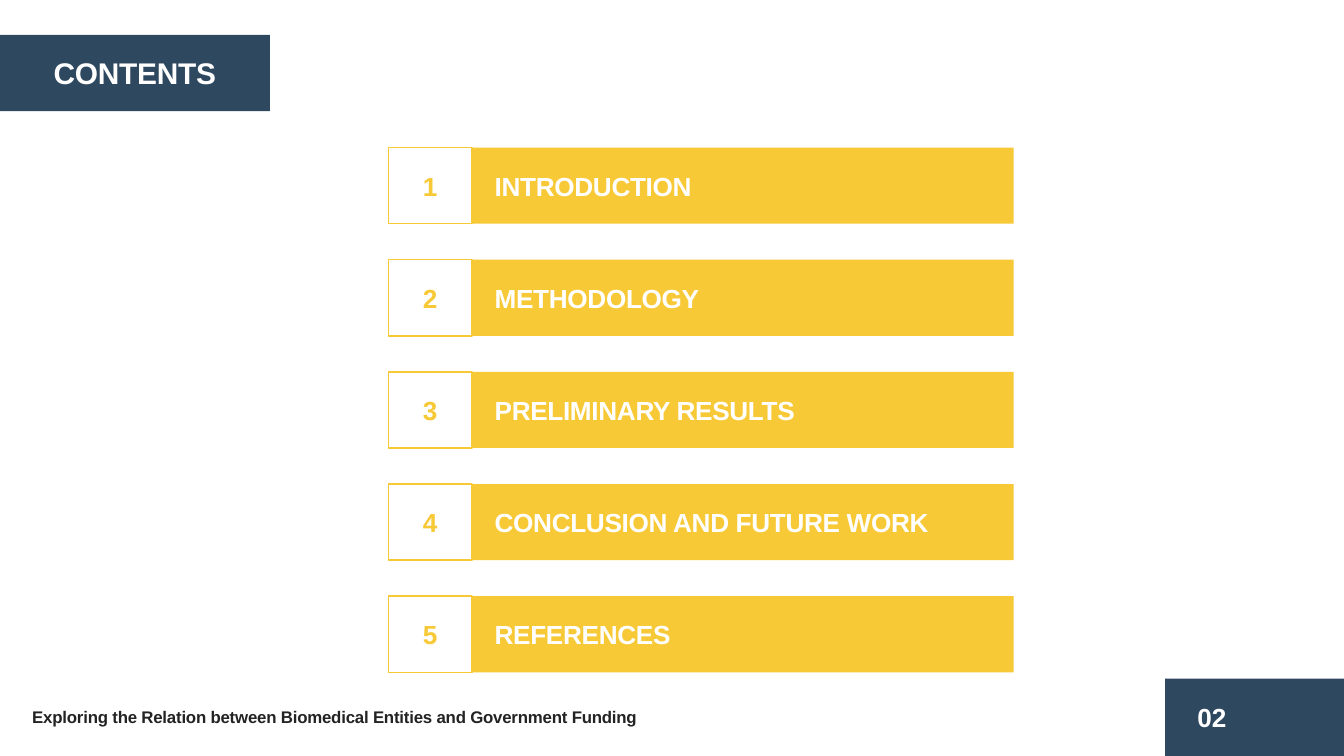
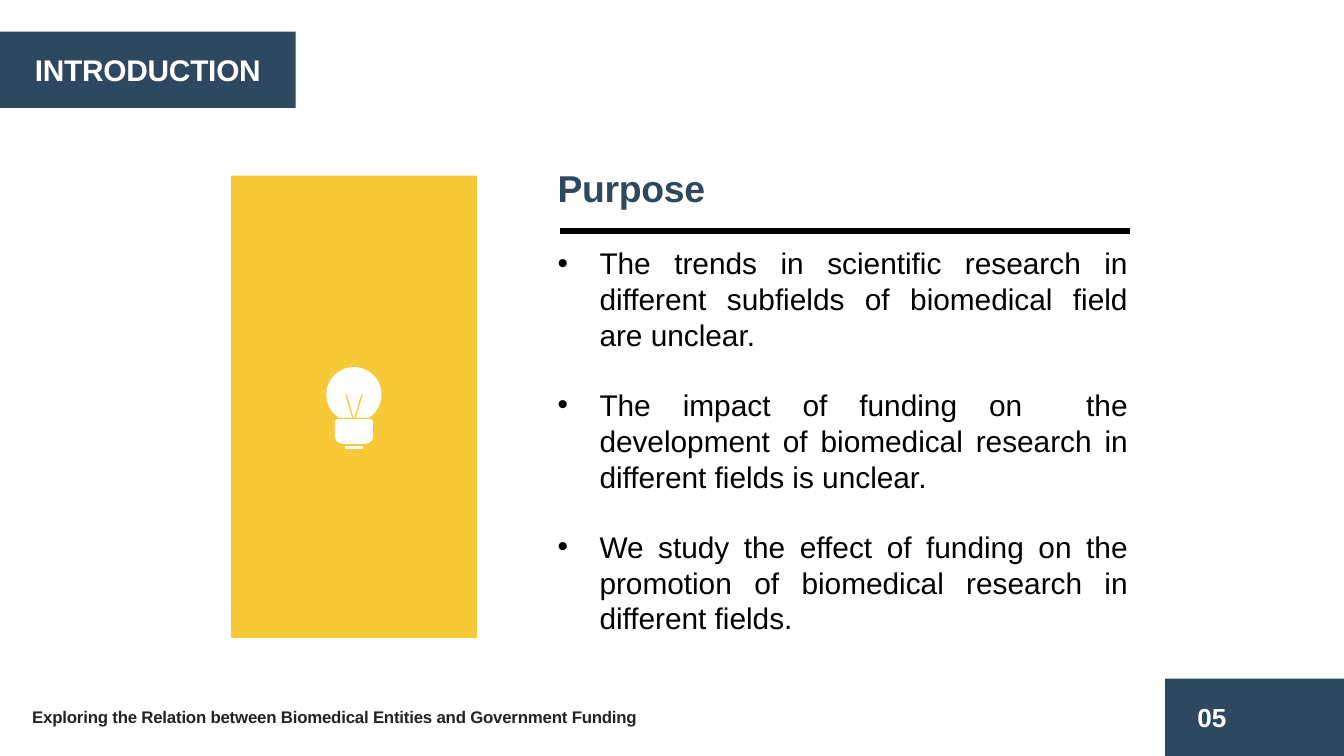
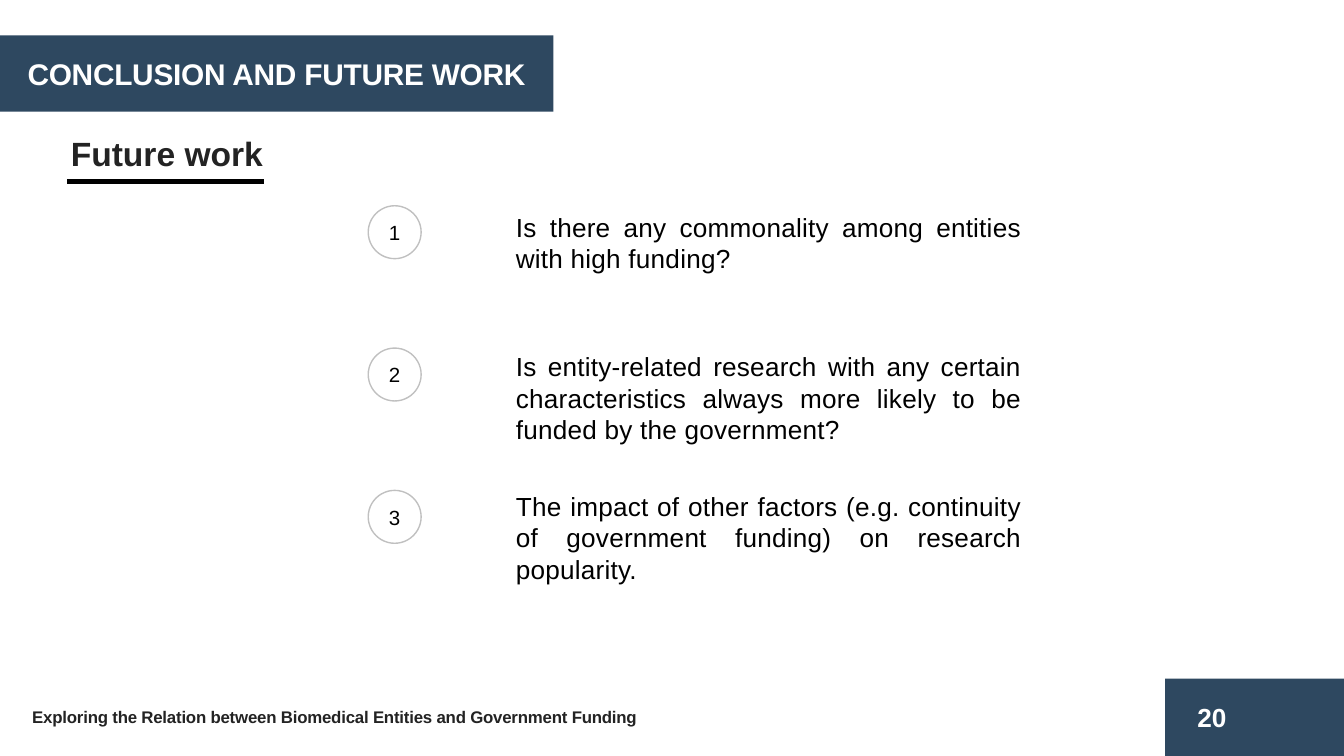
"""Build three slides on biomedical entities and government funding."""
import math

from lxml import etree
from pptx import Presentation
from pptx.dml.color import RGBColor
from pptx.enum.shapes import MSO_CONNECTOR, MSO_SHAPE
from pptx.enum.text import MSO_ANCHOR, MSO_AUTO_SIZE, PP_ALIGN
from pptx.oxml.ns import qn
from pptx.util import Cm, Pt

RECTANGLE = MSO_SHAPE.RECTANGLE
OVAL = MSO_SHAPE.OVAL
ROUNDED_BASE = MSO_SHAPE.ROUND_2_SAME_RECTANGLE
STRAIGHT = MSO_CONNECTOR.STRAIGHT
TOP, MIDDLE = MSO_ANCHOR.TOP, MSO_ANCHOR.MIDDLE
LEFT, CENTER, JUSTIFY = PP_ALIGN.LEFT, PP_ALIGN.CENTER, PP_ALIGN.JUSTIFY
NO_AUTOFIT = MSO_AUTO_SIZE.NONE

FONT = "Arial"
COLORS = {
    "navy": "2E4860",
    "yellow": "F8C937",
    "white": "FFFFFF",
    "ink": "232323",
    "black": "000000",
    "silver": "C0C0C0",
}
SLIDE_WIDTH, SLIDE_HEIGHT = 25.4, 14.29
TITLE_ONLY, TITLE_AND_BODY = 5, 1

FOOTER = "Exploring the Relation between Biomedical Entities and Government Funding"
CONTENTS = [
    "INTRODUCTION",
    "METHODOLOGY",
    "PRELIMINARY RESULTS",
    "CONCLUSION AND FUTURE WORK",
    "REFERENCES",
]
PURPOSES = [
    "The trends in scientific research in different subfields of biomedical field are unclear.",
    "The impact of funding on  the development of biomedical research in different fields is unclear.",
    "We study the effect of funding on the promotion of biomedical research in different fields.",
]
QUESTIONS = [
    "Is there any commonality among entities with high funding?",
    "Is entity-related research with any certain characteristics always more likely "
    "to be funded by the government?",
    "The impact of other factors (e.g. continuity of government funding) on research popularity.",
]


def rgb(name):
    return RGBColor.from_string(COLORS[name])


def lengths(*values):
    return [Cm(value) for value in values]


def write(shape, text, size=14, color="black", bold=False, spacing=0,
          align=LEFT, anchor=TOP, insets=(0.25, 0.13)):
    frame = shape.text_frame
    frame.word_wrap = True
    frame.auto_size = NO_AUTOFIT
    frame.vertical_anchor = anchor
    frame.margin_left = frame.margin_right = Cm(insets[0])
    frame.margin_top = frame.margin_bottom = Cm(insets[1])
    frame.text = text
    for paragraph in frame.paragraphs:
        paragraph.alignment = align
        for run in paragraph.runs:
            run.font.name = FONT
            run.font.size = Pt(size)
            run.font.bold = bold
            run.font.color.rgb = rgb(color)
            if spacing:
                run.font._element.set("spc", str(round(spacing * 100)))


def place(shape, *box):
    shape.left, shape.top, shape.width, shape.height = lengths(*box)


def paint(shape, fill=None, line=None):
    shape.shadow.inherit = False
    if fill:
        shape.fill.solid()
        shape.fill.fore_color.rgb = rgb(fill)
    else:
        shape.fill.background()
    if line:
        shape.line.color.rgb = rgb(line)
        shape.line.width = Pt(0.75)
    else:
        shape.line.fill.background()
    return shape


def add_shape(shapes, kind, box, fill=None, line=None):
    return paint(shapes.add_shape(kind, *lengths(*box)), fill, line)


def add_text(slide, box, text, **text_format):
    write(slide.shapes.add_textbox(*lengths(*box)), text, **text_format)


def add_line(shapes, start, end, color, width):
    line = shapes.add_connector(STRAIGHT, *lengths(*start, *end))
    line.line.color.rgb = rgb(color)
    line.line.width = Pt(width)
    etree.SubElement(line._element.spPr, qn("a:effectLst"))


def add_slide(presentation, layout, title, number, band_top, band_width):
    slide = presentation.slides.add_slide(presentation.slide_layouts[layout])
    band = slide.shapes.title
    place(band, 0, band_top, band_width, 1.44)
    band.fill.solid()
    band.fill.fore_color.rgb = rgb("navy")
    write(band, title, size=16, color="white", bold=True, spacing=-0.1,
          align=CENTER, anchor=MIDDLE, insets=(0, 0))
    add_text(slide, (0.36, 13.23, 12.42, 0.64), FOOTER, size=9, color="ink",
             bold=True, spacing=-0.1)
    left, top = 22.02, 12.83
    corner = add_shape(slide.shapes, RECTANGLE,
                       (left, top, SLIDE_WIDTH - left, SLIDE_HEIGHT - top), "navy")
    write(corner, number, color="white", bold=True, anchor=MIDDLE, insets=(0.61, 0))
    return slide


def add_contents(slide):
    left, top, pitch, height = 7.34, 2.79, 2.12, 1.44
    box_width, bar_width = 1.58, 10.24
    for index, entry in enumerate(CONTENTS):
        row_top = top + index * pitch
        bar = add_shape(slide.shapes, RECTANGLE,
                        (left + box_width, row_top, bar_width, height), "yellow")
        write(bar, entry, color="white", bold=True, spacing=-0.2,
              anchor=MIDDLE, insets=(0.43, 0))
        box = add_shape(slide.shapes, RECTANGLE,
                        (left, row_top, box_width, height), line="yellow")
        write(box, str(index + 1), color="yellow", bold=True,
              align=CENTER, anchor=MIDDLE, insets=(0, 0))


def add_light_bulb(slide):
    shapes = slide.shapes.add_group_shape().shapes
    center_x, center_y, radius, half_neck = 6.69, 7.46, 0.52, 0.28
    opening = round(math.degrees(math.asin(half_neck / radius)))
    outline = [
        (Cm(center_x + radius * math.cos(math.radians(angle))),
         Cm(center_y + radius * math.sin(math.radians(angle))))
        for angle in range(90 + opening, 451 - opening, 3)
    ]
    builder = shapes.build_freeform(*outline[0], scale=1.0)
    builder.add_line_segments(outline[1:], close=True)
    paint(builder.convert_to_shape(), "white")
    for side in (-1, 1):
        add_line(shapes, (center_x, 7.97), (center_x + side * 0.15, center_y),
                 "yellow", 0.75)
    base = add_shape(shapes, ROUNDED_BASE, (center_x - 0.36, 7.92, 0.72, 0.47), "white")
    base.adjustments[0], base.adjustments[1] = 0.12, 0.3
    add_line(shapes, (center_x - 0.17, 8.46), (center_x + 0.17, 8.46), "white", 2)


def add_purpose(slide):
    add_shape(slide.shapes, RECTANGLE, (4.37, 3.32, 4.65, 8.74), "yellow")
    add_light_bulb(slide)
    add_text(slide, (10.29, 3, 5.38, 1.12), "Purpose", size=20, color="navy",
             bold=True, spacing=-0.2)
    add_line(slide.shapes, (10.58, 4.37), (21.36, 4.37), "black", 3)
    body = slide.placeholders[1]
    place(body, 10.29, 4.5, 11.28, 7.77)
    write(body, "\n".join(PURPOSES), size=16, align=JUSTIFY)
    for paragraph in body.text_frame.paragraphs:
        paragraph.space_before = Pt(0)
        paragraph.space_after = Pt(18.4)
        properties = paragraph._p.get_or_add_pPr()
        properties.set("marL", str(Cm(0.79)))
        properties.set("indent", str(-Cm(0.79)))
        bullet = etree.SubElement(properties, qn("a:buChar"))
        bullet.set("char", "•")


def add_future_work(slide):
    add_text(slide, (1.09, 2.39, 4.95, 1.02), "Future work", size=18,
             color="ink", bold=True)
    add_line(slide.shapes, (1.27, 3.43), (4.98, 3.43), "black", 3)
    for index, question in enumerate(QUESTIONS):
        circle = add_shape(slide.shapes, OVAL,
                           (6.96, 3.89 + index * 2.69, 1, 1), line="silver")
        write(circle, str(index + 1), size=11, align=CENTER, anchor=MIDDLE, insets=(0, 0))
        add_text(slide, (9.5, 3.86 + index * 2.64, 10.06, 2.06), question,
                 spacing=0.1, align=JUSTIFY)


def main():
    presentation = Presentation()
    presentation.slide_width, presentation.slide_height = lengths(SLIDE_WIDTH, SLIDE_HEIGHT)
    add_contents(add_slide(presentation, TITLE_ONLY, "CONTENTS", "02", 0.66, 5.1))
    add_purpose(add_slide(presentation, TITLE_AND_BODY, "INTRODUCTION", "05", 0.6, 5.59))
    add_future_work(add_slide(presentation, TITLE_ONLY, "CONCLUSION AND FUTURE WORK",
                              "20", 0.67, 10.46))
    presentation.save("out.pptx")


main()
